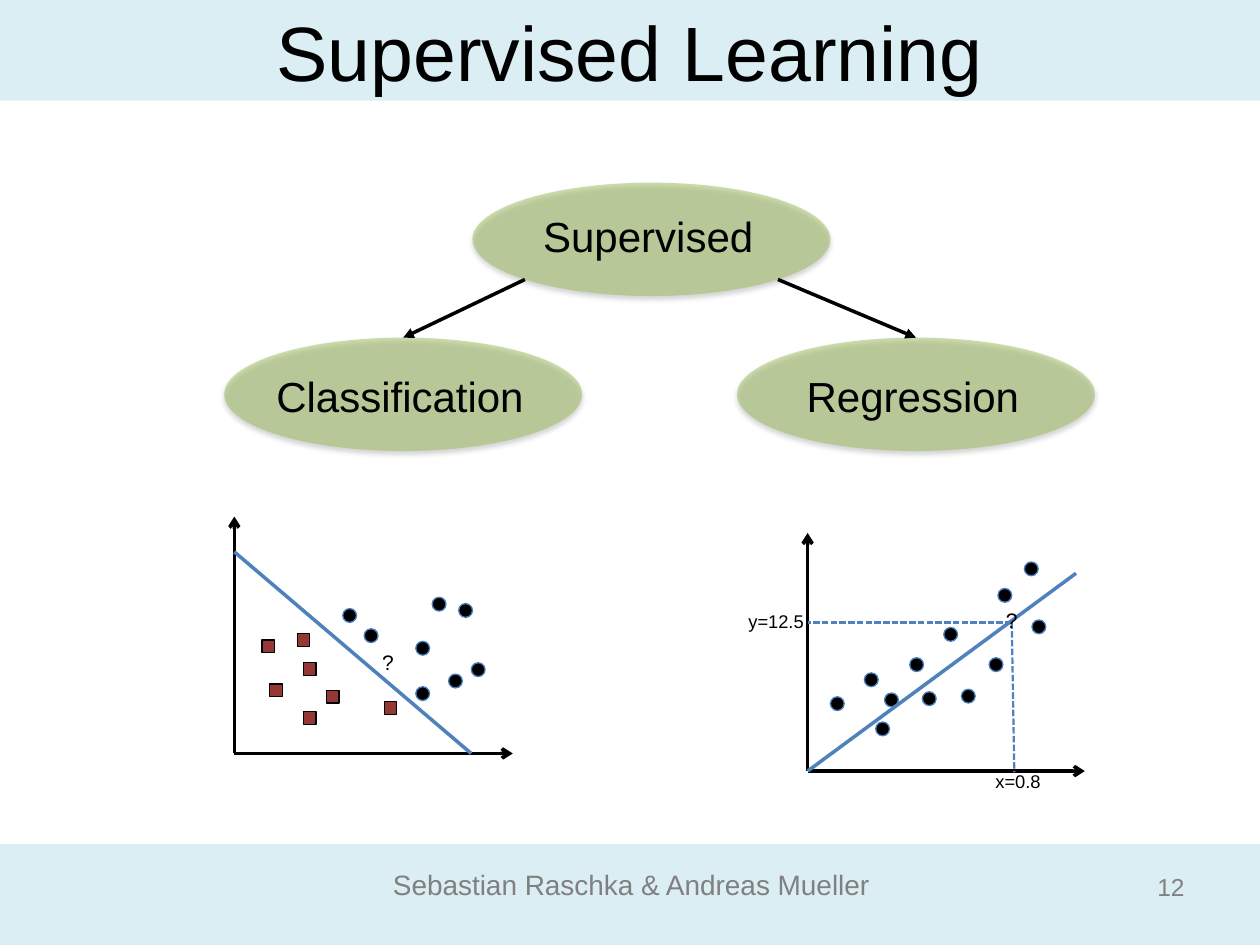
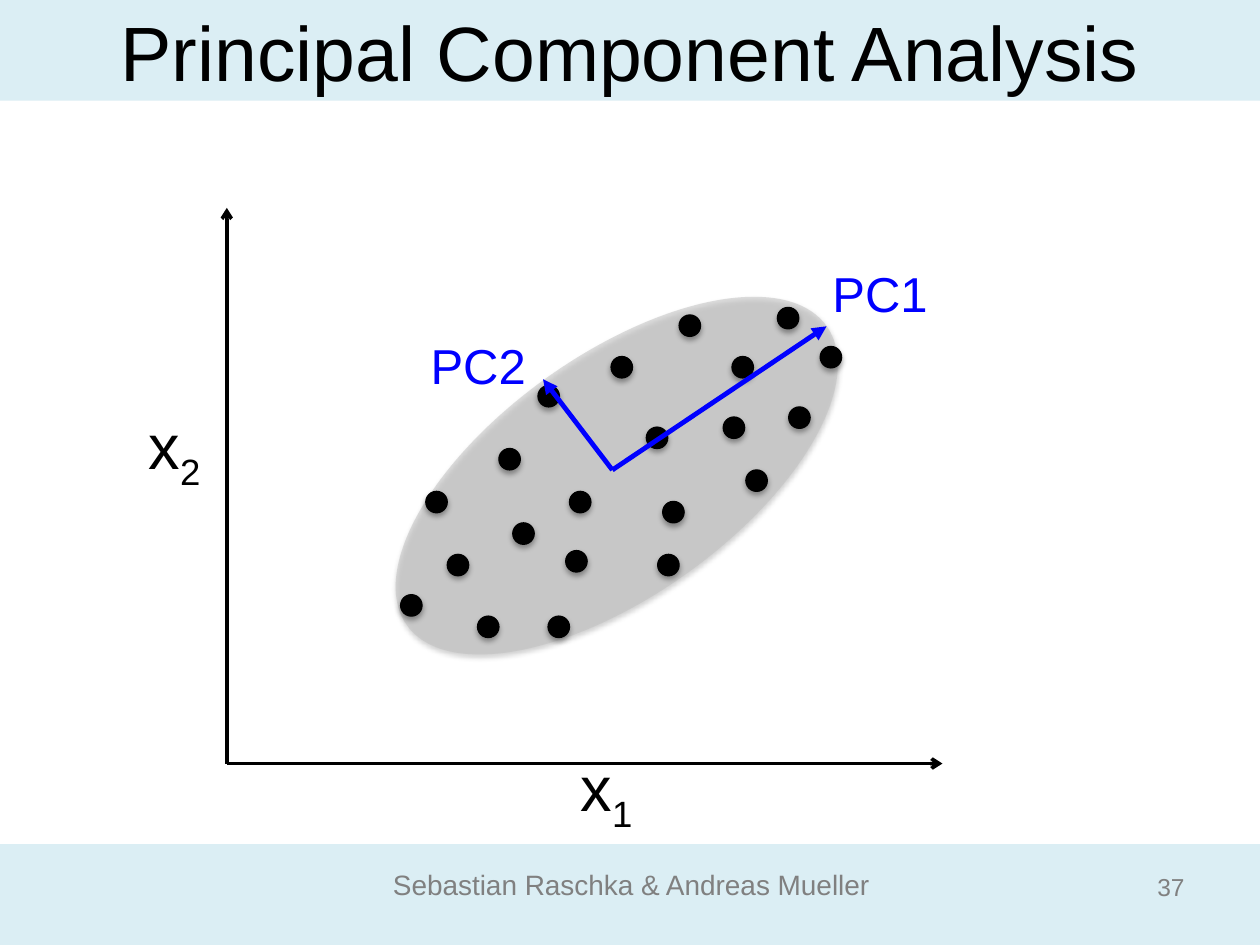
from dataclasses import dataclass
from math import sqrt

from lxml import etree
from pptx import Presentation
from pptx.dml.color import RGBColor
from pptx.enum.dml import MSO_LINE
from pptx.enum.shapes import MSO_CONNECTOR, MSO_SHAPE
from pptx.enum.text import MSO_ANCHOR, PP_ALIGN
from pptx.oxml.ns import qn
from pptx.util import Inches, Pt

STRAIGHT = MSO_CONNECTOR.STRAIGHT
OVAL, RECT = MSO_SHAPE.OVAL, MSO_SHAPE.RECTANGLE
LEFT, CENTER, RIGHT = PP_ALIGN.LEFT, PP_ALIGN.CENTER, PP_ALIGN.RIGHT
TOP, MIDDLE = MSO_ANCHOR.TOP, MSO_ANCHOR.MIDDLE
DASH = MSO_LINE.SQUARE_DOT
TOP_SITE = 0


@dataclass(frozen=True)
class Theme:
    font: str = "Arial"
    band: str = "DBEEF4"
    ink: str = "000000"
    muted: str = "808080"
    node: str = "9BBB59"
    cloud: str = "BFBFBF"
    accent: str = "4F81BD"
    dot_edge: str = "4B7EBC"
    square: str = "953735"
    component: str = "0000FF"
    title_size: float = 44
    axis_size: float = 36
    component_size: float = 28
    node_size: float = 24
    footer_size: float = 16
    number_size: float = 14
    query_size: float = 12
    value_size: float = 10.5


THEME = Theme()
AUTHORS = "Sebastian Raschka & Andreas Mueller"


# Shared drawing helpers; every box is (left, top, width, height) in inches
def write(frame, text, size, color=THEME.ink, align=CENTER, anchor=TOP, sub=""):
    frame.word_wrap = True
    frame.vertical_anchor = anchor
    paragraph = frame.paragraphs[0]
    paragraph.alignment = align
    for part in filter(None, (text, sub)):
        run = paragraph.add_run()
        run.text = part
        run.font.name = THEME.font
        run.font.size = Pt(size)
        run.font.color.rgb = RGBColor.from_string(color)
    if sub:
        run.font._element.set("baseline", "-25000")


def add_text(slide, box, text, size, **text_format):
    label = slide.shapes.add_textbox(*map(Inches, box))
    write(label.text_frame, text, size, **text_format)


def add_figure(slide, kind, box, fill, edge=None, alpha=None, shadow=False):
    figure = slide.shapes.add_shape(kind, *map(Inches, box))
    figure.shadow.inherit = False
    figure.fill.solid()
    figure.fill.fore_color.rgb = RGBColor.from_string(fill)
    if edge:
        figure.line.color.rgb = RGBColor.from_string(edge)
        figure.line.width = Pt(0.75)
    else:
        figure.line.fill.background()
    properties = figure._element.spPr
    if alpha:
        color = properties.find(qn("a:solidFill"))[0]
        etree.SubElement(color, qn("a:alpha"), val=str(alpha * 1000))
    if shadow:
        outer = etree.SubElement(
            properties.find(qn("a:effectLst")), qn("a:outerShdw"),
            blurRad=str(Pt(3.1)), dist=str(Pt(1.8)), dir="5400000", rotWithShape="0")
        black = etree.SubElement(outer, qn("a:srgbClr"), val=THEME.ink)
        etree.SubElement(black, qn("a:alpha"), val="35000")
    return figure


def add_line(slide, start, end, color=THEME.ink, width=2, head=None, dash=None):
    line = slide.shapes.add_connector(STRAIGHT, *map(Inches, (*start, *end)))
    line.line.color.rgb = RGBColor.from_string(color)
    line.line.width = Pt(width)
    if dash:
        line.line.dash_style = dash
    if head:
        etree.SubElement(line.line._ln, qn("a:tailEnd"), type=head)
    etree.SubElement(line._element.spPr, qn("a:effectLst"))
    return line


def placer(box):
    """Return a function that shifts a point into the given box."""
    return lambda x, y: (box[0] + x, box[1] + y)


def add_axes(slide, box):
    left, top, width, height = box
    origin = (left, top + height)
    add_line(slide, origin, (left, top), head="arrow")
    add_line(slide, origin, (left + width, top + height), head="arrow")


def add_markers(slide, box, corners, kind, size, fill, **style):
    at = placer(box)
    for corner in corners:
        add_figure(slide, kind, (*at(*corner), size, size), fill, **style)


# Slide frame: bands, title, authors and number
def add_frame(prs, title, number):
    slide = prs.slides.add_slide(prs.slide_layouts[5])
    for position, (top, height) in enumerate(((6.7, 0.8), (0, 0.8))):
        band = add_figure(slide, RECT, (0, top, 10, height), THEME.band)
        slide.shapes._spTree.insert(2 + position, band._element)  # behind the title
    heading = slide.shapes.title
    heading.left, heading.top, heading.width, heading.height = map(
        Inches, (0.5, -0.22, 9, 1.25))
    write(heading.text_frame, title, THEME.title_size, anchor=MIDDLE)
    add_text(slide, (3.02, 6.84, 4.39, 0.37), AUTHORS, THEME.footer_size,
             color=THEME.muted, align=LEFT)
    add_text(slide, (9.02, 6.84, 0.48, 0.4), number, THEME.number_size,
             color=THEME.muted, align=RIGHT, anchor=MIDDLE)
    return slide


# Tree of learning types
def add_tree(slide, box):
    at = placer(box)
    node_w, node_h = 2.84, 0.9

    def add_node(x, y, name, label_drop):
        node = add_figure(slide, OVAL, (*at(x, y), node_w, node_h), THEME.node,
                          alpha=49, shadow=True)
        add_text(slide, (*at(x + 0.03, y + label_drop), 2.73, 0.5), name,
                 THEME.node_size)
        return node

    root_x, child_y = 1.97, box[3] - node_h
    add_node(root_x, 0, "Supervised", 0.17)
    children = (add_node(0, child_y, "Classification", 0.21),
                add_node(box[2] - node_w, child_y, "Regression", 0.21))
    # Arrows leave the root ellipse at its lower diagonals
    for side, child in zip((-1, 1), children):
        start = at(root_x + node_w / 2 * (1 + side / sqrt(2)),
                   node_h / 2 * (1 + 1 / sqrt(2)))
        branch = add_line(slide, start, start, head="triangle")
        branch.end_connect(child, TOP_SITE)


# Two classes split by a boundary
def add_classification_plot(slide, box):
    at = placer(box)
    dots = ((1.44, 1.35), (1.7, 1.25), (1.44, 0.99), (1.57, 0.64),
            (1.78, 0.69), (1.88, 1.16), (0.86, 0.73), (1.03, 0.89))
    squares = ((0.22, 0.98), (0.28, 1.33), (0.55, 1.16), (1.19, 1.47),
               (0.5, 0.93), (0.73, 1.38), (0.55, 1.55))
    add_axes(slide, box)
    add_markers(slide, box, dots, OVAL, 0.11, THEME.ink, edge=THEME.dot_edge)
    add_line(slide, at(0, 0.28), at(1.88, box[3]), THEME.accent)
    add_markers(slide, box, squares, RECT, 0.1, THEME.square, edge=THEME.ink)
    add_text(slide, (*at(1.04, 1.01), 0.36, 0.3), "?", THEME.query_size)


# Fitted line with one predicted value
def add_regression_plot(slide, box):
    at = placer(box)
    dots = ((0.18, 1.3), (0.45, 1.11), (0.61, 1.27), (0.81, 0.99),
            (0.91, 1.26), (1.08, 0.75), (1.44, 0.99), (1.51, 0.44),
            (1.22, 1.24), (1.78, 0.69), (1.72, 0.23), (0.54, 1.5))
    add_axes(slide, box)
    add_markers(slide, box, dots, OVAL, 0.11, THEME.ink, edge=THEME.dot_edge)
    add_line(slide, at(0, box[3]), at(2.13, 0.32), THEME.accent)
    prediction = at(1.62, 0.71)
    for axis_point in ((1.64, 1.9), (0, 0.71)):
        add_line(slide, prediction, at(*axis_point), THEME.accent, 1.25, dash=DASH)
    for corner, value in (((1, 1.83), "x=0.8"), ((-0.92, 0.56), "y=12.5")):
        add_text(slide, (*at(*corner), 1.34, 0.29), value, THEME.value_size)
    add_text(slide, (*at(1.44, 0.54), 0.36, 0.3), "?", THEME.query_size)


# Point cloud with its two principal components
def add_component_plot(slide, box):
    at = placer(box)
    dots = ((1.75, 2.75), (2.16, 1.91), (3.05, 1.18), (4.01, 1.18),
            (3.33, 1.74), (3.42, 2.75), (4.12, 2.08), (4.46, 1.58),
            (4.71, 1.1), (4.37, 0.79), (3.59, 0.85), (2.47, 1.41),
            (2.55, 3.24), (2.72, 2.25), (3.46, 2.33), (2.69, 2.72),
            (2.27, 2.5), (1.99, 3.24), (1.38, 3.07), (1.58, 2.25),
            (3.94, 1.66))
    add_axes(slide, box)
    cloud = add_figure(slide, OVAL, (*at(1.05, 1.17), 4.09, 1.91), THEME.cloud,
                       alpha=52, shadow=True)
    cloud.rotation = 324.5
    add_markers(slide, box, dots, OVAL, 0.17, THEME.ink, edge=THEME.ink, shadow=True)
    for corner, index in (((2.46, 4.24), "1"), ((-0.97, 1.53), "2")):
        add_text(slide, (*at(*corner), 1.11, 0.71), "x", THEME.axis_size, sub=index)
    components = (("PC1", (4.76, 0.94), (4.63, 0.39)),
                  ("PC2", (2.51, 1.36), (1.44, 0.96)))
    for name, tip, corner in components:
        add_line(slide, at(3.06, 2.08), at(*tip), THEME.component, 2.75, "triangle")
        add_text(slide, (*at(*corner), 1.11, 0.57), name, THEME.component_size,
                 color=THEME.component)


def main():
    prs = Presentation()
    prs.slide_width, prs.slide_height = Inches(10), Inches(7.5)

    supervised = add_frame(prs, "Supervised Learning", "12")
    add_tree(supervised, (1.78, 1.45, 6.91, 2.13))
    add_regression_plot(supervised, (6.41, 4.23, 2.2, 1.89))
    add_classification_plot(supervised, (1.86, 4.1, 2.21, 1.88))

    pca = add_frame(prs, "Principal Component Analysis", "37")
    add_component_plot(pca, (1.8, 1.65, 5.68, 4.41))

    prs.save("out.pptx")


if __name__ == "__main__":
    main()
